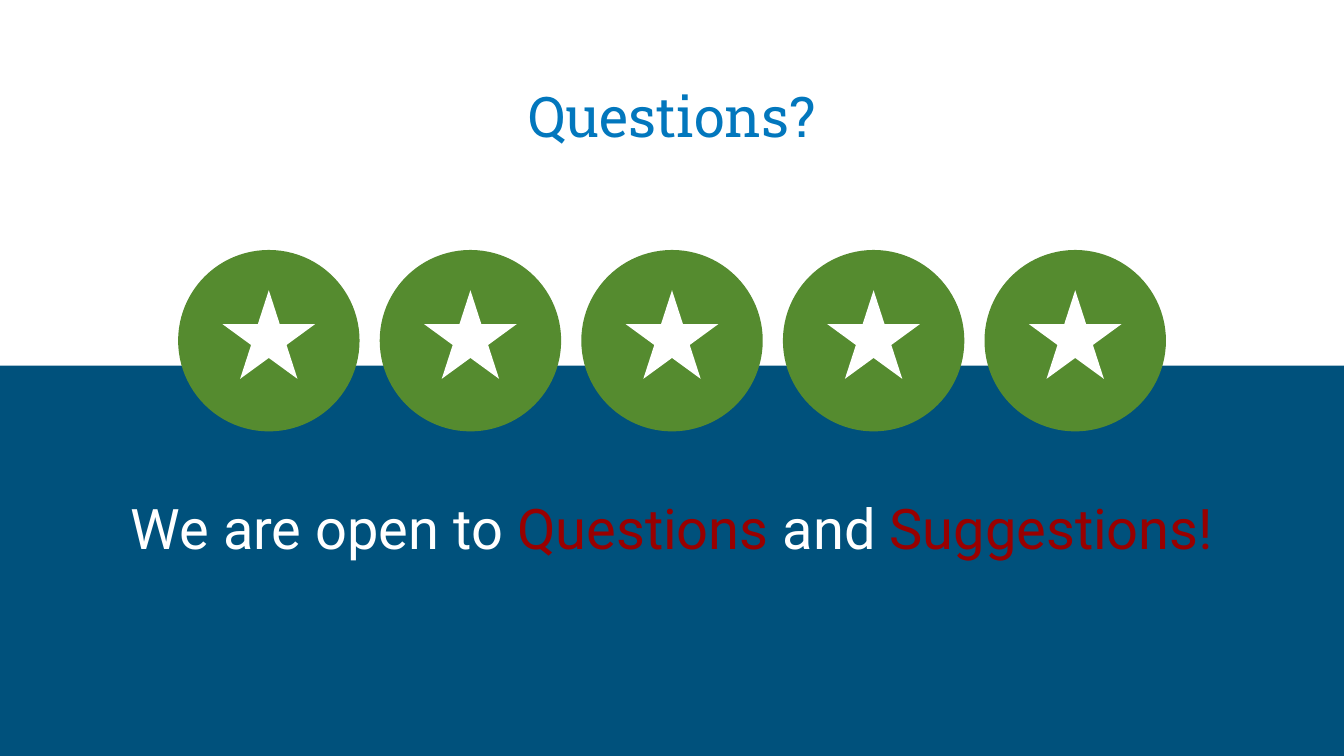
"""Build a closing slide with a row of five star badges and an invitation to ask."""
from pptx import Presentation
from pptx.dml.color import RGBColor
from pptx.enum.shapes import MSO_SHAPE
from pptx.enum.text import MSO_ANCHOR, PP_ALIGN
from pptx.util import Inches, Pt

RECTANGLE, ELLIPSE, STAR = MSO_SHAPE.RECTANGLE, MSO_SHAPE.OVAL, MSO_SHAPE.STAR_5_POINT
TOP, BOTTOM, CENTER = MSO_ANCHOR.TOP, MSO_ANCHOR.BOTTOM, PP_ALIGN.CENTER

COLORS = {"navy": "00517C", "white": "FFFFFF", "blue": "0277BD",
          "green": "558B2F", "red": "980000"}
TITLE = [("Questions?", "blue")]
INVITATION = [("We are open to ", "white"), ("Questions", "red"),
              (" and ", "white"), ("Suggestions!", "red")]

WIDTH = 10
HEIGHT = WIDTH * 9 / 16
BAND_WIDTH, BAND_HEIGHT = 10.02, 2.72
MARGIN = 0.34
BADGE_COUNT, BADGE_PITCH, BADGE_SIZE, BADGE_TOP = 5, 1.5, 1.35, 1.86
STAR_WIDTH, STAR_HEIGHT, STAR_TOP = 0.69, 0.66, 2.16


def color(name):
    return RGBColor.from_string(COLORS[name])


def add_filled(shapes, kind, left, top, width, height, fill):
    shape = shapes.add_shape(kind, Inches(left), Inches(top), Inches(width), Inches(height))
    shape.shadow.inherit = False
    shape.fill.solid()
    shape.fill.fore_color.rgb = color(fill)
    shape.line.fill.background()


def add_text(slide, top, height, anchor, font, runs):
    box = slide.shapes.add_textbox(Inches(MARGIN), Inches(top),
                                   Inches(WIDTH - 2 * MARGIN), Inches(height))
    frame = box.text_frame
    frame.word_wrap = True
    frame.vertical_anchor = anchor
    frame.margin_left = frame.margin_right = Inches(0.1)
    frame.margin_top = frame.margin_bottom = Inches(0.1)
    paragraph = frame.paragraphs[0]
    paragraph.alignment = CENTER
    for text, run_color in runs:
        run = paragraph.add_run()
        run.text = text
        run.font.name = font
        run.font.size = Pt(30)
        run.font.color.rgb = color(run_color)
    return paragraph


presentation = Presentation()
presentation.slide_width, presentation.slide_height = Inches(WIDTH), Inches(HEIGHT)
slide = presentation.slides.add_slide(presentation.slide_layouts[6])
slide.background.fill.solid()
slide.background.fill.fore_color.rgb = color("navy")

add_filled(slide.shapes, RECTANGLE, 0, 0, BAND_WIDTH, BAND_HEIGHT, "white")
add_text(slide, 0.41, 0.8, BOTTOM, "Roboto Slab", TITLE)
invitation = add_text(slide, 3.5, 1.76, TOP, "Roboto", INVITATION)
invitation.line_spacing = 1.15
invitation.space_after = Pt(16)

for index in range(BADGE_COUNT):
    center = WIDTH / 2 + (index - (BADGE_COUNT - 1) / 2) * BADGE_PITCH
    badge = slide.shapes.add_group_shape()
    add_filled(badge.shapes, ELLIPSE, center - BADGE_SIZE / 2, BADGE_TOP,
               BADGE_SIZE, BADGE_SIZE, "green")
    add_filled(badge.shapes, STAR, center - STAR_WIDTH / 2, STAR_TOP,
               STAR_WIDTH, STAR_HEIGHT, "white")

presentation.save("out.pptx")
